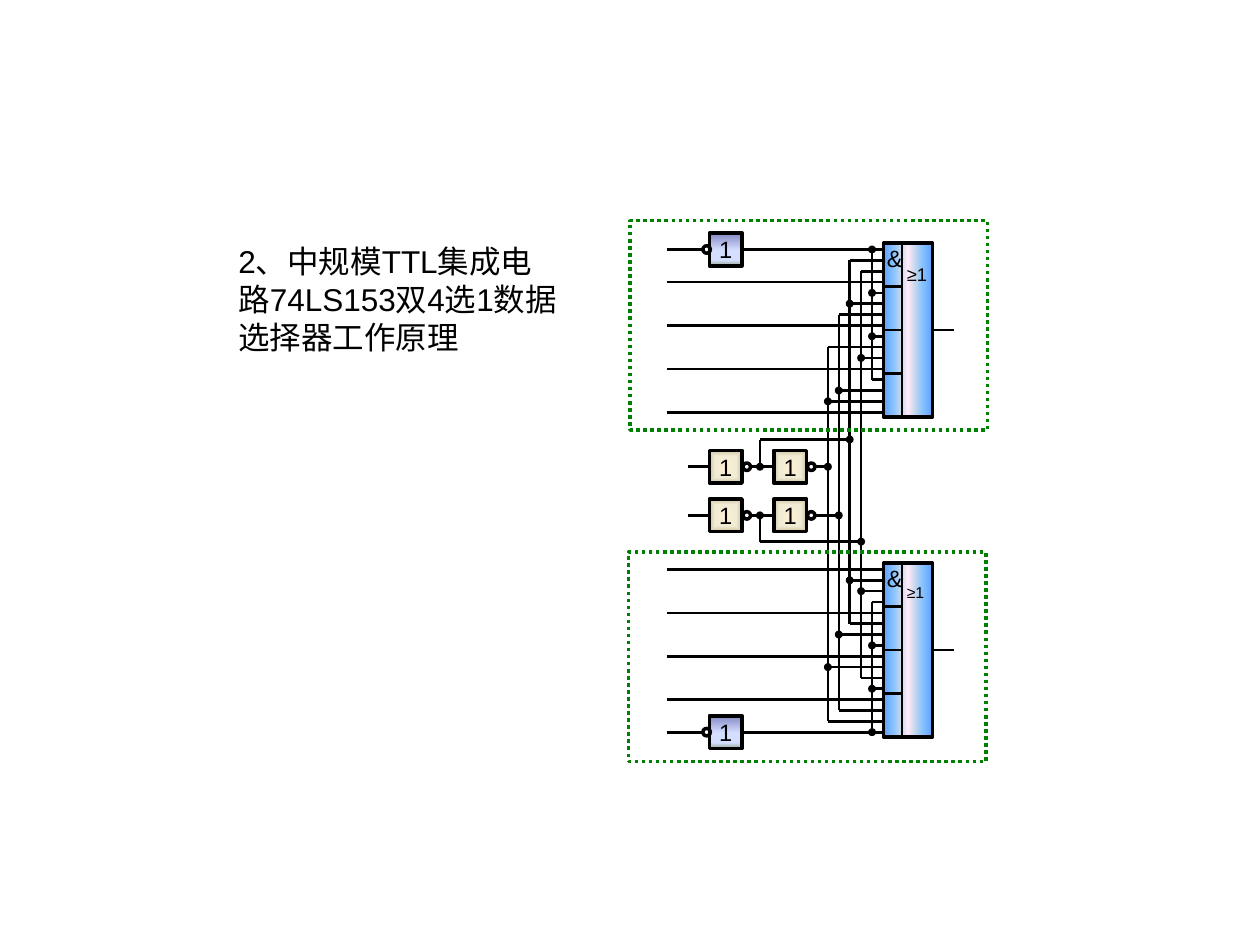
from pptx import Presentation
from pptx.dml.color import RGBColor as RGB
from pptx.enum.dml import MSO_LINE as Dash
from pptx.enum.shapes import MSO_CONNECTOR as Link, MSO_SHAPE as Preset
from pptx.enum.text import MSO_ANCHOR as Anchor, MSO_AUTO_SIZE as Fit, PP_ALIGN as Align
from pptx.oxml import parse_xml
from pptx.oxml.ns import nsdecls, qn
from pptx.util import Cm, Pt

THEME = {
    "font": "Arial", "ink": "000000", "frame": "008000",
    "title": 18, "symbol": 13.5, "wire": 1.5, "edge": 2,
}
LINEAR = '<a:lin ang="{}" scaled="1"/>'
GRADIENTS = {
    "block": ([(0, "5E9EFF"), (20, "85C2FF"), (35, "C4D6EB"), (50, "FFEBFA"),
               (65, "C4D6EB"), (80, "85C2FF"), (100, "5E9EFF")], LINEAR.format(0)),
    "address": ([(0, "FFEFD1"), (65, "F0EBD5"), (100, "D1C39F")],
                '<a:path path="shape"><a:fillToRect l="50000" t="50000" r="50000" b="50000"/></a:path>'),
    "enable": ([(0, "8488C4"), (53, "D4DEFF"), (83, "D4DEFF"), (100, "96AB94")],
               LINEAR.format(5400000)),
}

TITLE = "2、中规模TTL集成电路74LS153双4选1数据选择器工作原理"
TITLE_AT = (4.55, 4.75, 7.06, 2.57)
FRAMES = [(12.7, 4.45), (12.67, 11.13)]
FRAME_SIZE = (7.21, 4.22)

BUS_X = {"A1": 16.69, "A0": 16.91, "not A1": 17.13, "not A0": 17.36,
         "EN1": 17.58, "EN2": 17.58}
SELECTORS = [
    {"first": 5.03, "enable": 0, "or_size": 10.5,
     "pins": ["EN1", "not A1", "not A0", "D", "EN1", "not A1", "A0", "D",
              "EN1", "A1", "not A0", "D", "EN1", "A0", "A1", "D"]},
    {"first": 11.48, "enable": 15, "or_size": 9,
     "pins": ["D", "not A1", "not A0", "EN2", "D", "not A1", "A0", "EN2",
              "D", "A1", "not A0", "EN2", "D", "A0", "A1", "EN2"]},
]
ADDRESSES = [
    {"y": 9.41, "bus": "A1", "inverse": "not A1", "tap_y": 8.86},
    {"y": 10.39, "bus": "A0", "inverse": "not A0", "tap_y": 10.92},
]

PITCH = 3.28 / 15
PIN_X, DATA_X, ADDRESS_X = 17.81, 13.44, 13.87
GATE, GATE_XS = 0.66, (14.3, 15.6)
BUBBLE, DOT, TAP_X = 0.15, 0.16, 15.32
BLOCK_W, BLOCK_H, CELL_W, OUTPUT_X = 0.99, 3.51, 0.37, 19.23

deck = Presentation()
deck.slide_width, deck.slide_height = Cm(25.4), Cm(19.05)
page = deck.slides.add_slide(deck.slide_layouts[5])


def color(name):
    return RGB.from_string(THEME[name])


def style(para, size, align=Align.LEFT):
    para.alignment = align
    para.font.name = THEME["font"]
    para.font.size = Pt(size)
    para.font.color.rgb = color("ink")


def shape(preset, left, top, width, height, line="ink"):
    item = page.shapes.add_shape(preset, Cm(left), Cm(top), Cm(width), Cm(height))
    item.shadow.inherit = False
    item.fill.background()
    item.line.color.rgb = color(line)
    item.line.width = Pt(THEME["edge"])
    return item


def shade(item, name):
    stops, direction = GRADIENTS[name]
    marks = "".join(f'<a:gs pos="{at * 1000}"><a:srgbClr val="{tint}"/></a:gs>'
                    for at, tint in stops)
    gradient = parse_xml(f'<a:gradFill {nsdecls("a")} rotWithShape="1">'
                         f'<a:gsLst>{marks}</a:gsLst>{direction}</a:gradFill>')
    properties = item._element.spPr
    properties.replace(properties.find(qn("a:noFill")), gradient)


def wire(x1, y1, x2, y2):
    line = page.shapes.add_connector(Link.STRAIGHT, Cm(x1), Cm(y1), Cm(x2), Cm(y2))
    line.line.color.rgb = color("ink")
    line.line.width = Pt(THEME["wire"])
    line._element.spPr.append(parse_xml(f'<a:effectLst {nsdecls("a")}/>'))


def dot(x, y):
    item = shape(Preset.OVAL, x - DOT / 2, y - DOT / 2, DOT, DOT)
    item.fill.solid()
    item.fill.fore_color.rgb = color("ink")
    item.line.fill.background()


def label(text, left, top, width, height, size):
    box = page.shapes.add_textbox(Cm(left), Cm(top), Cm(width), Cm(height))
    box.text_frame.word_wrap = True
    box.text_frame.text = text
    style(box.text_frame.paragraphs[0], size)


def inverter(x, y, gradient, bubble_x):
    gate = shape(Preset.RECTANGLE, x, y - GATE / 2, GATE, GATE)
    shade(gate, gradient)
    frame = gate.text_frame
    frame.word_wrap = False
    frame.vertical_anchor = Anchor.MIDDLE
    frame.text = "1"
    style(frame.paragraphs[0], THEME["symbol"], Align.CENTER)
    shape(Preset.OVAL, bubble_x, y - BUBBLE / 2, BUBBLE, BUBBLE)


def selector_block(top, or_size):
    shade(shape(Preset.RECTANGLE, PIN_X, top, BLOCK_W, BLOCK_H), "block")
    wire(PIN_X + CELL_W, top, PIN_X + CELL_W, top + BLOCK_H)
    for quarter in (1, 2, 3):
        y = top + BLOCK_H * quarter / 4
        wire(PIN_X, y, PIN_X + CELL_W, y)
    label("&", PIN_X - 0.18, top - 0.1, 0.74, 0.84, THEME["symbol"])
    label("≥1", PIN_X + 0.22, top + 0.28, 1.24, 0.7, or_size)
    wire(PIN_X + BLOCK_W, top + BLOCK_H / 2, OUTPUT_X, top + BLOCK_H / 2)


title = page.shapes.title
title.left, title.top, title.width, title.height = map(Cm, TITLE_AT)
title.text_frame.text = TITLE
title.text_frame.word_wrap = True
title.text_frame.auto_size = Fit.NONE
title.text_frame.vertical_anchor = Anchor.TOP
style(title.text_frame.paragraphs[0], THEME["title"])

bus_taps = {bus: [] for bus in BUS_X}
dots = []
first_x, second_x = GATE_XS

for selector in SELECTORS:
    selector_block(selector["first"] - 0.13, selector["or_size"])
    for number, source in enumerate(selector["pins"]):
        y = selector["first"] + number * PITCH
        if source in bus_taps:
            bus_taps[source].append(y)
        if number == selector["enable"]:
            bubble_x = first_x - 0.13
            inverter(first_x, y, "enable", bubble_x)
            wire(DATA_X, y, bubble_x, y)
            wire(first_x + GATE, y, PIN_X, y)
            dots.append((BUS_X[source], y))
        else:
            wire(BUS_X.get(source, DATA_X), y, PIN_X, y)

for address in ADDRESSES:
    y, tap_y = address["y"], address["tap_y"]
    bus_x, inverse_x = BUS_X[address["bus"]], BUS_X[address["inverse"]]
    for x in GATE_XS:
        inverter(x, y, "address", x + GATE + 0.02)
    output = GATE + 0.02 + BUBBLE
    wire(ADDRESS_X, y, first_x, y)
    wire(first_x + output, y, second_x, y)
    wire(second_x + output, y, bus_x, y)
    wire(TAP_X, y, TAP_X, tap_y)
    wire(TAP_X, tap_y, inverse_x, tap_y)
    dots += [(TAP_X, y), (bus_x, y), (inverse_x, tap_y)]

for bus, taps in bus_taps.items():
    wire(BUS_X[bus], taps[0], BUS_X[bus], taps[-1])
    dots += [(BUS_X[bus], y) for y in taps[1:-1]]

for x, y in dots:
    dot(x, y)

for left, top in FRAMES:
    border = shape(Preset.RECTANGLE, left, top, *FRAME_SIZE, line="frame")
    border.line.dash_style = Dash.ROUND_DOT

deck.save("out.pptx")
